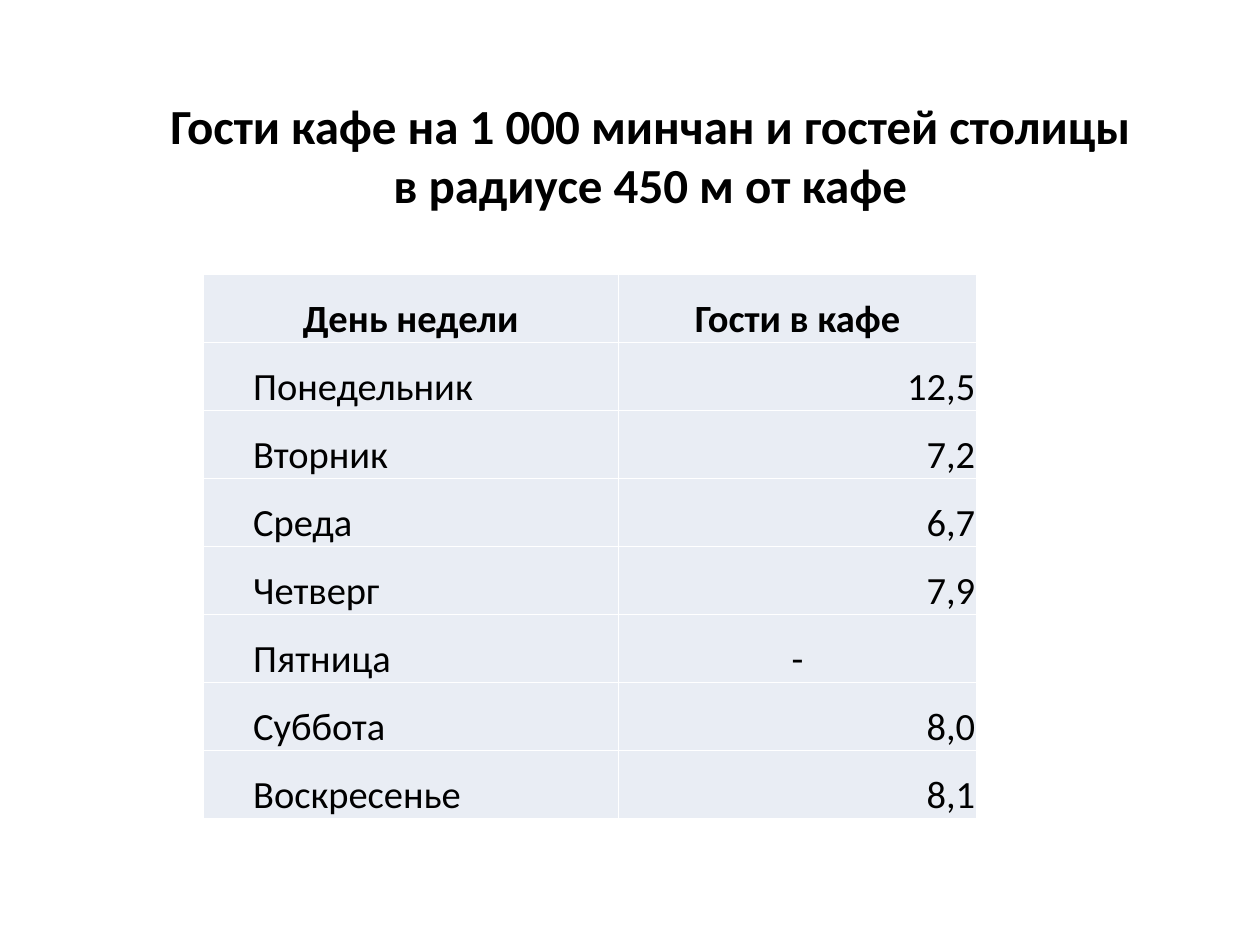
"""Build a slide with a table of café guests by day of the week."""
from lxml.etree import SubElement
from pptx import Presentation
from pptx.dml.color import RGBColor
from pptx.enum.text import MSO_ANCHOR as Anchor, PP_ALIGN as Align
from pptx.oxml.ns import qn
from pptx.util import Inches, Pt

BLACK = RGBColor(0, 0, 0)
WHITE = RGBColor(255, 255, 255)
PALE = RGBColor(0xE9, 0xED, 0xF4)

ROWS = [
    ("День недели", "Гости в кафе"),
    ("Понедельник", "12,5"),
    ("Вторник", "7,2"),
    ("Среда", "6,7"),
    ("Четверг", "7,9"),
    ("Пятница", "-"),
    ("Суббота", "8,0"),
    ("Воскресенье", "8,1"),
]
WIDTHS = [3.3, 2.84]
HEIGHT = 0.54
CELL = {
    "vertical_anchor": Anchor.BOTTOM,
    "margin_left": Inches(0.01),
    "margin_right": Inches(0.01),
    "margin_top": Inches(0.01),
    "margin_bottom": 0,
}


def style(para, size, bold, align):
    para.alignment = align
    font = para.runs[0].font if len(para.runs) == 1 else para.font
    for item in [font] + [run.font for run in para.runs]:
        item.name, item.size, item.bold = "Calibri", Pt(size), bold
        item.color.rgb = BLACK


def edge(cell):
    props = cell._tc.get_or_add_tcPr()
    for side in ("lnL", "lnR", "lnT", "lnB"):
        line = SubElement(props, qn(f"a:{side}"), w=str(Pt(1)))
        fill = SubElement(line, qn("a:solidFill"))
        SubElement(fill, qn("a:srgbClr"), val=str(WHITE))


deck = Presentation()
deck.slide_width, deck.slide_height = Inches(10), Inches(7.5)
slide = deck.slides.add_slide(deck.slide_layouts[5])

title = slide.shapes.title
title.left, title.top = Inches(0.51), Inches(0.6)
title.width, title.height = Inches(9.3), Inches(1.25)
title.text_frame.text = "Гости кафе на 1 000 минчан и гостей столицы\vв радиусе 450 м от кафе"
title.text_frame.vertical_anchor = Anchor.MIDDLE
style(title.text_frame.paragraphs[0], 28, True, Align.CENTER)

table = slide.shapes.add_table(
    len(ROWS), len(WIDTHS), Inches(1.61), Inches(2.18),
    Inches(sum(WIDTHS)), Inches(HEIGHT * len(ROWS)),
).table
for col, width in zip(table.columns, WIDTHS):
    col.width = Inches(width)

for r, row in enumerate(ROWS):
    table.rows[r].height = Inches(HEIGHT)
    for c, text in enumerate(row):
        cell = table.cell(r, c)
        for name, value in CELL.items():
            setattr(cell, name, value)
        edge(cell)
        cell.fill.solid()
        cell.fill.fore_color.rgb = PALE
        cell.text = text
        para = cell.text_frame.paragraphs[0]
        if r == 0 or text == "-":
            align = Align.CENTER
        else:
            align = Align.RIGHT if c else Align.LEFT
        style(para, 22, r == 0, align)
        if r and not c:
            para._p.get_or_add_pPr().set("marL", str(Inches(0.39)))

deck.save("out.pptx")
